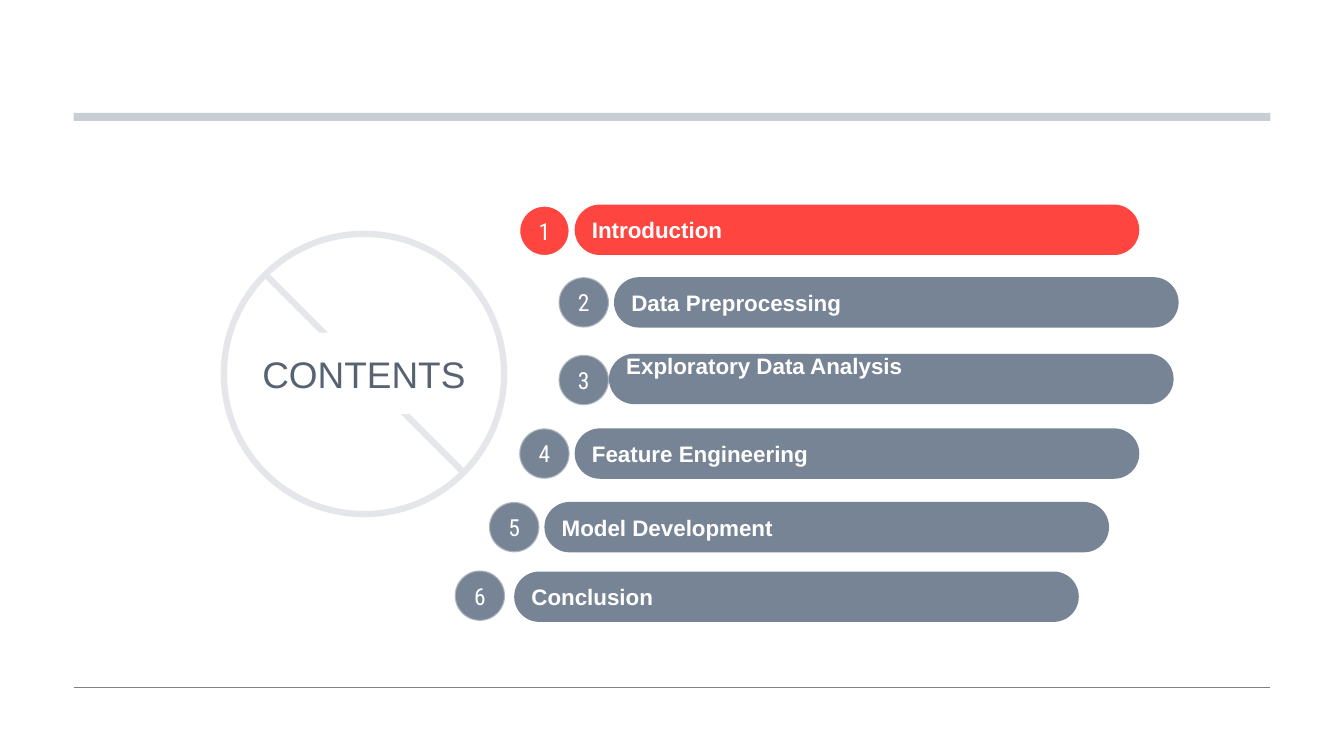
from dataclasses import dataclass

from lxml import etree
from pptx import Presentation
from pptx.dml.color import RGBColor
from pptx.enum.shapes import MSO_CONNECTOR, MSO_SHAPE
from pptx.enum.text import MSO_ANCHOR, MSO_AUTO_SIZE, PP_ALIGN
from pptx.oxml.ns import qn
from pptx.shapes.autoshape import Shape
from pptx.shapes.connector import Connector
from pptx.slide import Slide
from pptx.util import Emu, Pt

LINE = MSO_CONNECTOR.STRAIGHT
RECT = MSO_SHAPE.RECTANGLE
OVAL = MSO_SHAPE.OVAL
PILL = MSO_SHAPE.ROUNDED_RECTANGLE
MIDDLE = MSO_ANCHOR.MIDDLE
NO_FIT = MSO_AUTO_SIZE.NONE
LEFT = PP_ALIGN.LEFT
CENTER = PP_ALIGN.CENTER

WHITE = RGBColor(0xFF, 0xFF, 0xFF)
RED = RGBColor(0xFF, 0x45, 0x40)
SLATE = RGBColor(0x77, 0x84, 0x95)
INK = RGBColor(0x58, 0x63, 0x71)
MIST = RGBColor(0xE4, 0xE6, 0xEA)
BAND = RGBColor(0xC9, 0xCE, 0xD5)
GRAY = RGBColor(0x80, 0x80, 0x80)

SCALE = 9144
DISC = 50
BAR = 560
PAD_X = 10
PAD_Y = 5


@dataclass(frozen=True)
class Box:
    left: int
    top: int
    width: int
    height: int

    def emu(self) -> tuple[Emu, ...]:
        sides = (self.left, self.top, self.width, self.height)
        return tuple(px(side) for side in sides)


@dataclass(frozen=True)
class Font:
    name: str
    size: float
    color: RGBColor
    bold: bool = False


@dataclass(frozen=True)
class Topic:
    label: str
    disc_x: int
    disc_y: int
    bar_x: int
    bar_y: int
    fill: RGBColor = SLATE
    rim: int = 40
    lift: int = 0


HEAD = Font("Arial", 26.4, INK)
DIGIT = Font("Roboto Condensed", 16.8, WHITE)
LABEL = Font("Arial", 16, WHITE, True)

TOPICS = (
    Topic("Introduction", 515, 204, 570, 203, fill=RED, rim=100),
    Topic("Data Preprocessing", 554, 275, 609, 275),
    Topic("Exploratory Data Analysis", 554, 352, 604, 351, lift=26),
    Topic("Feature Engineering", 515, 425, 570, 425),
    Topic("Model Development", 485, 498, 540, 498),
    Topic("Conclusion", 451, 566, 510, 567),
)


def px(count: int) -> Emu:
    return Emu(count * SCALE)


def write(shape: Shape, text: str, font: Font, align: PP_ALIGN,
          wrap: bool = True, lift: int = 0) -> None:
    frame = shape.text_frame
    frame.text = text
    frame.auto_size = NO_FIT
    frame.word_wrap = wrap
    frame.vertical_anchor = MIDDLE
    frame.margin_left = frame.margin_right = px(PAD_X)
    frame.margin_top = px(PAD_Y)
    frame.margin_bottom = px(PAD_Y + lift)
    part = frame.paragraphs[0]
    part.alignment = align
    face = part.runs[0].font
    face.name = font.name
    face.size = Pt(font.size)
    face.bold = font.bold
    face.color.rgb = font.color


def draw(slide: Slide, kind: MSO_SHAPE, box: Box,
         fill: RGBColor | None) -> Shape:
    shape = slide.shapes.add_shape(kind, *box.emu())
    shape.shadow.inherit = False
    shape.line.fill.background()
    if fill is None:
        shape.fill.background()
    else:
        shape.fill.solid()
        shape.fill.fore_color.rgb = fill
    return shape


def edge(shape: Shape | Connector, color: RGBColor, width: float,
         alpha: int = 100) -> None:
    shape.line.color.rgb = color
    shape.line.width = Pt(width)
    if alpha < 100:
        tint = shape.line._get_or_add_ln().find(".//" + qn("a:srgbClr"))
        etree.SubElement(tint, qn("a:alpha"), val=str(alpha * 1000))


def rule(slide: Slide, start: tuple[int, int], end: tuple[int, int],
         color: RGBColor, width: float) -> None:
    line = slide.shapes.add_connector(
        LINE, *(px(side) for side in start + end))
    edge(line, color, width)
    etree.SubElement(line._element.spPr, qn("a:effectLst"))


def badge(slide: Slide) -> None:
    rule(slide, (263, 272), (460, 469), MIST, 4.5)
    ring = draw(slide, OVAL, Box(222, 232, 278, 278), None)
    edge(ring, MIST, 4.5)
    title = slide.shapes.title
    title.left, title.top, title.width, title.height = Box(
        241, 330, 240, 81).emu()
    title.fill.solid()
    title.fill.fore_color.rgb = WHITE
    write(title, "CONTENTS", HEAD, CENTER)
    slide.shapes._spTree.append(title._element)


def entry(slide: Slide, index: int, topic: Topic) -> None:
    disc = draw(slide, OVAL, Box(topic.disc_x, topic.disc_y, DISC, DISC),
                topic.fill)
    edge(disc, WHITE, 1.5, topic.rim)
    write(disc, str(index), DIGIT, CENTER, wrap=False)
    bar = draw(slide, PILL, Box(topic.bar_x, topic.bar_y, BAR, DISC),
               topic.fill)
    bar.adjustments[0] = 0.5
    write(bar, topic.label, LABEL, LEFT, lift=topic.lift)


def main() -> None:
    deck = Presentation()
    deck.slide_width, deck.slide_height = px(1333), px(750)
    slide = deck.slides.add_slide(deck.slide_layouts.get_by_name("Title Only"))
    rule(slide, (73, 682), (1260, 682), GRAY, 0.5)
    draw(slide, RECT, Box(73, 112, 1187, 8), BAND)
    badge(slide)
    for index, topic in enumerate(TOPICS, 1):
        entry(slide, index, topic)
    deck.save("out.pptx")


if __name__ == "__main__":
    main()
